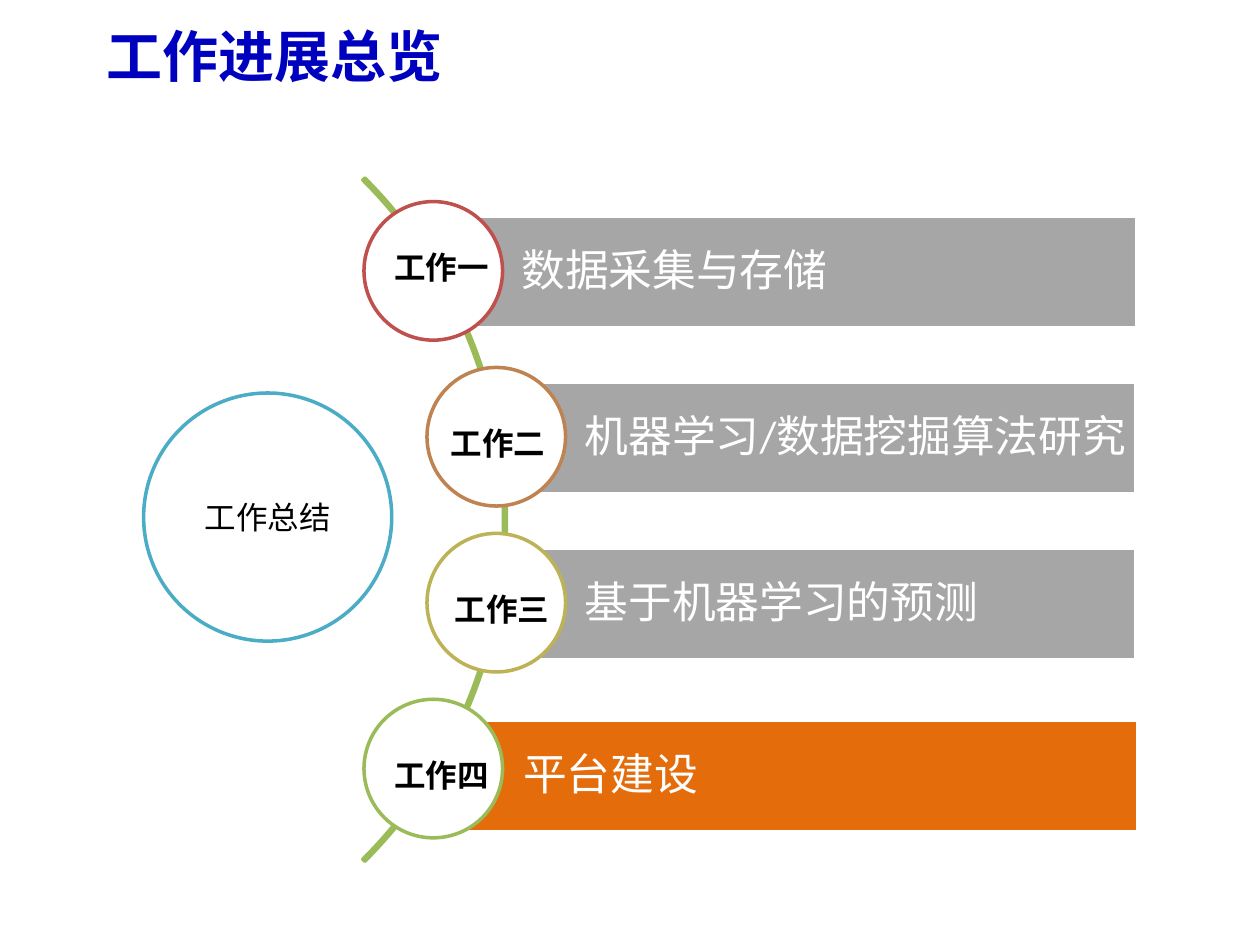
import pptx
import pptx.util
import pptx.dml.color
import pptx.enum.shapes
import pptx.enum.text

Pt = pptx.util.Pt
KIND = pptx.enum.shapes.MSO_SHAPE
ALIGN = pptx.enum.text.PP_ALIGN
MIDDLE = pptx.enum.text.MSO_ANCHOR.MIDDLE
TOP = pptx.enum.text.MSO_ANCHOR.TOP

STEP = 94.8   # distance between rows
RING = 79.2   # diameter of a row's circle

# circle left, circle colour, tag, tag left, tag top, bar drop, bar left, bar colour, topic
ROWS = [
    (208, "C0504D", "工作一", 218.2, 138.2, 8.6, 247.6, "A6A6A6", "数据采集与存储"),
    (244, "BE8351", "工作二", 250.6, 239, 8.6, 283.8, "A6A6A6", "机器学习/数据挖掘算法研究"),
    (244, "BDB255", "工作三", 252.8, 333.4, 8.6, 283.8, "A6A6A6", "基于机器学习的预测"),
    (208, "9BBB59", "工作四", 218.2, 428.4, 12.2, 248.6, "E46C0A", "平台建设"),
]


def color(code):
    return pptx.dml.color.RGBColor.from_string(code)


def shape(slide, kind, box, line, fill=None):
    item = slide.shapes.add_shape(kind, *[Pt(n) for n in box])
    item.shadow.inherit = False
    if fill:
        item.fill.solid()
        item.fill.fore_color.rgb = color(fill)
    else:
        item.fill.background()
    item.line.color.rgb = color(line)
    item.line.width = Pt(2)
    return item


def write(item, text, size=18, ink="000000", bold=False, font="Calibri",
          align=ALIGN.LEFT, anchor=MIDDLE, inset=None, space=None):
    frame = item.text_frame
    frame.word_wrap = True
    frame.vertical_anchor = anchor
    if inset:
        (frame.margin_left, frame.margin_top,
         frame.margin_right, frame.margin_bottom) = [Pt(n) for n in inset]
    para = frame.paragraphs[0]
    para.alignment = align
    if space:
        para.line_spacing = space
    run = para.add_run()
    run.text = text
    run.font.name = font
    run.font.size = Pt(size)
    run.font.bold = bold
    run.font.color.rgb = color(ink)


def label(slide, box, text, **style):
    write(slide.shapes.add_textbox(*[Pt(n) for n in box]), text, **style)


def arc(slide):
    item = shape(slide, KIND.BLOCK_ARC, (-262.8, 20.9, 552.2, 552.2), "9BBB59")
    for i, value in enumerate((189, 27, 0.003)):
        item.adjustments[i] = value


def row(slide, top, data):
    left, ring, tag, tag_x, tag_y, drop, bar_x, fill, topic = data
    width = 401.8 if left == 208 else 365.4
    bar = shape(slide, KIND.RECTANGLE, (bar_x, top + drop, width, 63.4), "FFFFFF", fill)
    write(bar, topic, size=25, ink="FFFFFF", inset=(50.4, 5, 5, 5), space=0.9)
    shape(slide, KIND.OVAL, (left, top, RING, RING), ring, "FFFFFF")
    label(slide, (tag_x, tag_y, 80, 29), tag, bold=True, anchor=TOP)


def main():
    deck = pptx.Presentation()
    deck.slide_width, deck.slide_height = Pt(720), Pt(540)
    slide = deck.slides.add_slide(deck.slide_layouts[6])
    label(slide, (54, 0, 648, 62.6), "工作进展总览", size=32, ink="0000BF",
          bold=True, font="Noto Sans CJK SC")
    hub = shape(slide, KIND.OVAL, (82.1, 224.6, 141.8, 141.8), "4BACC6", "FFFFFF")
    write(hub, "工作总结", align=ALIGN.CENTER)
    arc(slide)
    for i, data in enumerate(ROWS):
        row(slide, 115.2 + i * STEP, data)
    deck.save("out.pptx")


if __name__ == "__main__":
    main()
